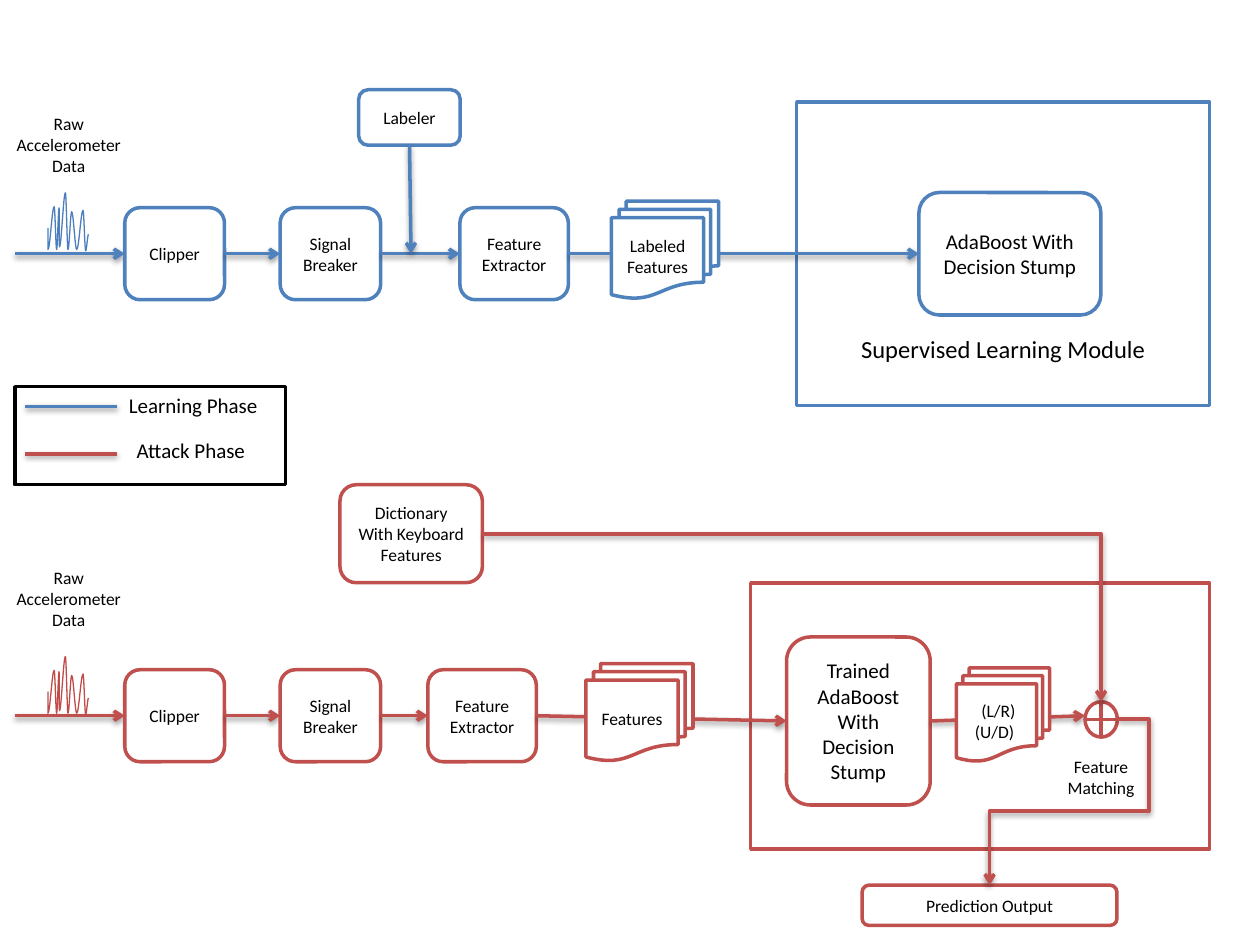
import pptx
import pptx.util
import pptx.dml.color
import pptx.enum.shapes
import pptx.enum.text
import pptx.oxml
import pptx.oxml.ns

Pt = pptx.util.Pt
RGBColor = pptx.dml.color.RGBColor
MSO = pptx.enum.shapes.MSO_SHAPE
CONN = pptx.enum.shapes.MSO_CONNECTOR
ANCHOR = pptx.enum.text.MSO_ANCHOR
ALIGN = pptx.enum.text.PP_ALIGN
qn = pptx.oxml.ns.qn

BLUE = RGBColor(0x4F, 0x81, 0xBD)
RED = RGBColor(0xC0, 0x50, 0x4D)
BLUE_WAVE = RGBColor(0x4B, 0x7E, 0xBC)
RED_WAVE = RGBColor(0xBF, 0x4C, 0x48)
BLACK = RGBColor(0, 0, 0)
WHITE = RGBColor(0xFF, 0xFF, 0xFF)

SHADOW = (
    '<a:effectLst xmlns:a="http://schemas.openxmlformats.org/drawingml/2006/main">'
    '<a:outerShdw blurRad="40000" dist="20000" dir="5400000" rotWithShape="0">'
    '<a:srgbClr val="000000"><a:alpha val="38000"/></a:srgbClr>'
    '</a:outerShdw></a:effectLst>')

prs = pptx.Presentation()
prs.slide_width, prs.slide_height = Pt(720), Pt(540)
s = prs.slides.add_slide(prs.slide_layouts[6])


def add_box(kind, x, y, w, h, color, text="", size=10):
    if kind is None:
        sp = s.shapes.add_textbox(Pt(x), Pt(y), Pt(w), Pt(h))
    else:
        sp = s.shapes.add_shape(kind, Pt(x), Pt(y), Pt(w), Pt(h))
        sp.shadow.inherit = False
        sp.fill.solid()
        sp.fill.fore_color.rgb = WHITE
        sp.line.color.rgb = color
        sp.line.width = Pt(2)
    if text:
        tf = sp.text_frame
        tf.word_wrap = True
        tf.text = text
        for p in tf.paragraphs:
            p.alignment = ALIGN.CENTER
            p.font.size = Pt(size)
            p.font.name = "Calibri"
            p.font.color.rgb = BLACK
    return sp


def add_wire(x1, y1, x2, y2, color, arrow=True, bend=None, adjust=()):
    kind = CONN.ELBOW if bend else CONN.STRAIGHT
    cx = s.shapes.add_connector(kind, Pt(x1), Pt(y1), Pt(x2), Pt(y2))
    cx.line.color.rgb = color
    cx.line.width = Pt(2)
    spPr = cx._element.spPr
    if arrow:
        ln = spPr.find(qn("a:ln"))
        ln.append(ln.makeelement(qn("a:tailEnd"), {"type": "arrow"}))
    spPr.append(pptx.oxml.parse_xml(SHADOW))
    if bend:
        geom = spPr.find(qn("a:prstGeom"))
        geom.set("prst", bend)
        av = geom.find(qn("a:avLst"))
        for i, val in enumerate(adjust, 1):
            gd = {"name": f"adj{i}", "fmla": f"val {val}"}
            av.append(av.makeelement(qn("a:gd"), gd))


add_box(MSO.RECTANGLE, 8.5, 221, 154.6, 56, BLACK)

wave = [(27.4, 130.3), (27.4, 142.6), (31, 118.1), (32.4, 142.6), (33.8, 118.8),
        (34, 141.1), (37.4, 110.2), (38.9, 142.6), (41, 121), (43.9, 142.6),
        (47.5, 120.2), (49, 143.3), (50.6, 133.9)]
phases = [(BLUE, BLUE_WAVE, 145, 262.8, 61, 0), (RED, RED_WAVE, 409, 244.5, 320.5, 265)]
for color, wave_color, row_y, extractor_x, label_y, wave_dy in phases:
    right = 8.5
    steps = [("Clipper", 71.3, 57), ("Signal Breaker", 160.1, 57.4),
             ("Feature Extractor", extractor_x, 62)]
    for text, x, w in steps:
        add_wire(right, row_y, x, row_y, color)
        add_box(MSO.ROUNDED_RECTANGLE, x, row_y - 26.3, w, 52.6, color, text)
        right = x + w
    controls = []
    for (x1, y1), (x2, y2) in zip(wave, wave[1:]):
        third = (x2 - x1) / 3
        controls += [(x1 + third, y1), (x2 - third, y2), (x2, y2)]
    fb = s.shapes.build_freeform(Pt(wave[0][0]), Pt(wave[0][1] + wave_dy))
    fb.add_line_segments([(Pt(x), Pt(y + wave_dy)) for x, y in controls], close=False)
    sp = fb.convert_to_shape()
    sp.shadow.inherit = False
    sp.fill.background()
    sp.line.color.rgb = wave_color
    sp.line.width = Pt(0.75)
    lines = list(sp._element.iter(qn("a:lnTo")))
    for i in range(0, len(lines), 3):
        curve = lines[i].makeelement(qn("a:cubicBezTo"), {})
        lines[i].addprevious(curve)
        for line in lines[i:i + 3]:
            curve.append(line[0])
            line.getparent().remove(line)
    add_box(None, 0, label_y, 78.5, 44, BLACK, "Raw Accelerometer Data")

module = add_box(MSO.RECTANGLE, 455.3, 58.3, 236, 173.5, BLUE,
                 "Supervised Learning Module", 14)
module.text_frame.vertical_anchor = ANCHOR.BOTTOM
module.text_frame.margin_bottom = Pt(24.2)
add_wire(324.8, 145, 525.1, 145, BLUE)
add_box(MSO.FLOWCHART_MULTIDOCUMENT, 349.4, 115, 61.2, 55.5, BLUE, "Labeled\nFeatures")
add_box(MSO.ROUNDED_RECTANGLE, 525.1, 110, 104, 70, BLUE, "AdaBoost With Decision Stump", 12)
add_box(MSO.ROUNDED_RECTANGLE, 205, 51.3, 58, 31.7, BLUE, "Labeler")
add_wire(234, 83, 234.9, 145, BLUE)

add_box(MSO.RECTANGLE, 429, 333.3, 262.2, 152, RED)
add_wire(306.5, 409, 449.5, 412, RED)
add_box(MSO.FLOWCHART_MULTIDOCUMENT, 334.8, 379.2, 61.2, 55.5, RED, "Features")
add_box(MSO.ROUNDED_RECTANGLE, 449.5, 364, 82.1, 96, RED,
        "Trained AdaBoost With Decision Stump", 12)
add_box(MSO.ROUNDED_RECTANGLE, 194.3, 277, 81.4, 56, RED,
        "Dictionary With Keyboard Features")
add_wire(531.6, 412, 620, 409, RED)
add_box(MSO.FLOWCHART_MULTIDOCUMENT, 546.5, 381.7, 53.3, 53.3, RED, " (L/R) (U/D) ")
add_box(MSO.FLOWCHART_OR, 620, 401, 18.5, 20.2, RED)
add_box(None, 600, 428.5, 58.3, 31.5, BLACK, "Feature Matching")
add_wire(275.7, 305, 629.2, 401, RED, bend="bentConnector2")
add_box(MSO.ROUNDED_RECTANGLE, 492.7, 505.8, 145.6, 23, RED, "Prediction Output")
add_wire(638.5, 411, 565.5, 505.8, RED, bend="bentConnector4", adjust=(-24700, 55400))

legend = [("Learning Phase", BLUE, 66.6, 221, 89, 232.2),
          ("Attack Phase", RED, 71, 246.5, 77.5, 259.3)]
for text, color, x, y, w, line_y in legend:
    add_wire(14.5, line_y, 67, line_y, color, arrow=False)
    tb = add_box(None, x, y, w, 22, BLACK, text, 12)
    tb.text_frame.word_wrap = False
    tb.text_frame.paragraphs[0].alignment = ALIGN.LEFT

prs.save("out.pptx")
